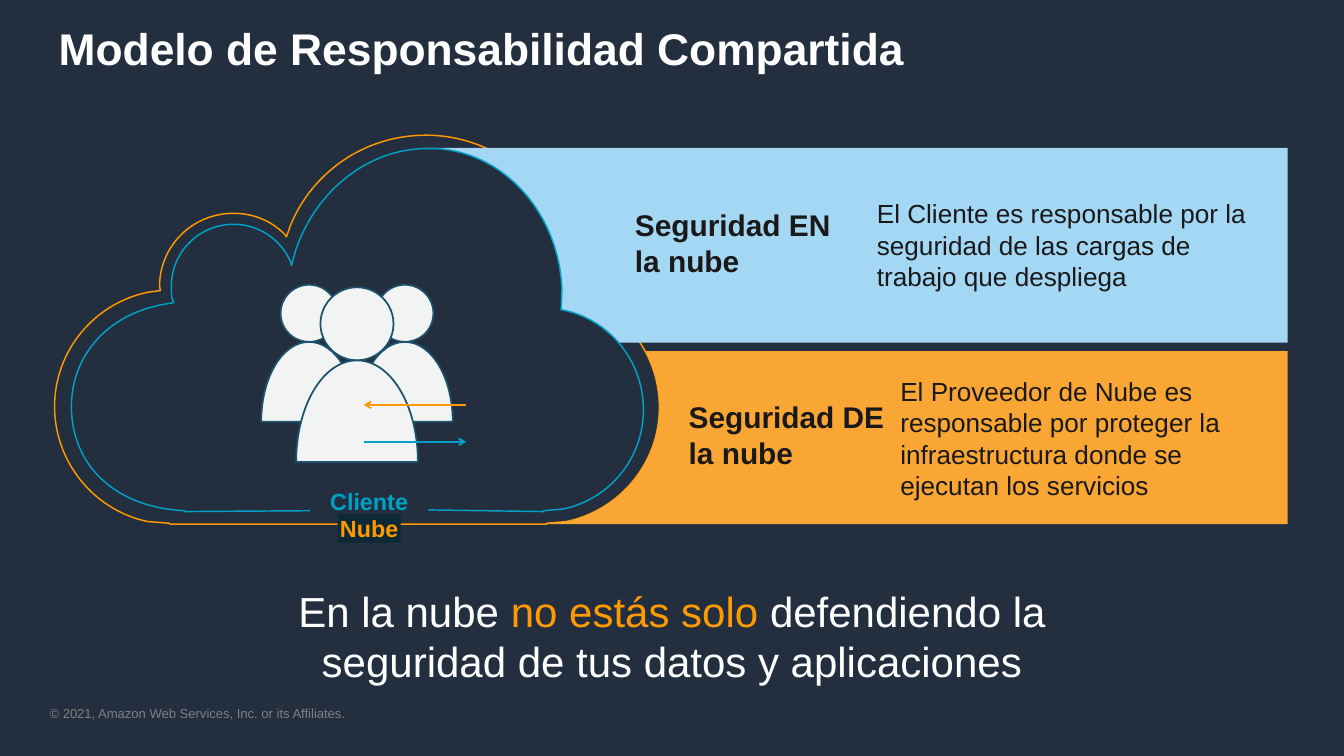
from dataclasses import dataclass
from lxml import etree
from pptx import Presentation
from pptx import util as u
from pptx.dml.color import RGBColor
from pptx.enum import shapes, text
from pptx.oxml.ns import qn


@dataclass(frozen=True)
class Theme:
    font: str = "Arial"
    back: str = "232F3E"
    white: str = "FFFFFF"
    ink: str = "191919"
    grey: str = "808080"
    orange: str = "FF9900"
    accent: str = "FF9A00"
    blue: str = "00A1C9"
    amber: str = "FAA634"
    sky: str = "A4D7F4"
    badge: str = "0D2836"
    pale: str = "F2F4F4"
    edge: str = "1D516C"
    title: float = 38
    lead: float = 36
    head: float = 25.6
    body: float = 22.4
    label: float = 20
    foot: float = 11.2


TOP, MID = text.MSO_ANCHOR.TOP, text.MSO_ANCHOR.MIDDLE
LEFT, CENTER = text.PP_ALIGN.LEFT, text.PP_ALIGN.CENTER
PAD = (0.1, 0.05)

# Outlines: a pair is a point, six numbers are a Bezier curve.
PROVIDER = [
    (5.07, 1.61), (6.04, 1.61, 6.82, 2.4, 6.82, 3.36), (6.81, 3.51), (7, 3.56),
    (7.5, 3.78, 7.85, 4.27, 7.85, 4.85), (7.85, 5.52, 7.37, 6.08, 6.74, 6.21),
    (6.51, 6.23), (6.51, 6.24), (6.46, 6.24), (2.02, 6.24), (2.02, 6.23),
    (1.76, 6.21), (1.13, 6.08, 0.65, 5.51, 0.65, 4.84),
    (0.65, 4.17, 1.13, 3.61, 1.76, 3.48), (1.91, 3.46), (1.9, 3.41),
    (1.9, 2.93, 2.29, 2.54, 2.78, 2.54), (3.02, 2.54, 3.23, 2.63, 3.39, 2.79),
    (3.41, 2.82), (3.46, 2.68), (3.72, 2.05, 4.34, 1.61, 5.07, 1.61)]
CLIENT = [
    (3.69, 6.08), (2.2, 6.09), (2.2, 6.08), (2.19, 6.08),
    (1.3, 6.03, 0.85, 5.48, 0.85, 4.84),
    (0.85, 4.23, 1.29, 3.71, 2.03, 3.61), (2.07, 3.6), (2.05, 3.56),
    (2.04, 3.51, 2.04, 3.46, 2.04, 3.41), (2.04, 3, 2.37, 2.67, 2.78, 2.67),
    (3.09, 2.67, 3.35, 2.86, 3.46, 3.12), (3.47, 3.16), (3.52, 2.98),
    (3.77, 2.24, 4.43, 1.74, 5.14, 1.77), (5.2, 1.77, 5.26, 1.77, 5.31, 1.78),
    (6.09, 1.89, 6.66, 2.61, 6.69, 3.45), (6.68, 3.69), (6.7, 3.69),
    (7.25, 3.8, 7.66, 4.29, 7.66, 4.88), (7.66, 5.46, 7.25, 5.95, 6.7, 6.06),
    (6.47, 6.08), (6.47, 6.09), (5.1, 6.07)]
LOWER = [
    (7.68, 4.18), (15.33, 4.18), (15.33, 6.24), (6.51, 6.24), (6.51, 6.23),
    (6.74, 6.21), (7.37, 6.08, 7.85, 5.52, 7.85, 4.85),
    (7.85, 4.63, 7.8, 4.43, 7.71, 4.24)]
UPPER = [
    (5.05, 1.76), (15.33, 1.76), (15.33, 4.08), (7.36, 4.08), (7.25, 3.96),
    (7.09, 3.83, 6.91, 3.73, 6.7, 3.69), (6.68, 3.69), (6.69, 3.45),
    (6.66, 2.61, 6.1, 1.89, 5.31, 1.78), (5.26, 1.77, 5.2, 1.77, 5.15, 1.77),
    (5.05, 1.77)]


def bend(shape, outline):
    """Join the three line segments of each curve into one Bezier segment."""
    lines = iter(list(shape._element.iter(qn("a:lnTo"))))
    for seg in outline[1:]:
        first = next(lines)
        if len(seg) == 6:
            first.tag = qn("a:cubicBezTo")
            for _ in range(2):
                line = next(lines)
                first.append(line[0])
                line.getparent().remove(line)


class Deck:
    def __init__(self, theme):
        self.look = theme
        self.prs = Presentation()
        self.prs.slide_width, self.prs.slide_height = u.Inches(16), u.Inches(9)
        self.slide = self.prs.slides.add_slide(self.prs.slide_layouts[6])
        self.items = self.slide.shapes
        self.paint(self.slide.background.fill, theme.back)

    def paint(self, fill, color):
        if color:
            fill.solid()
            fill.fore_color.rgb = RGBColor.from_string(color)
        else:
            fill.background()

    def dress(self, shape, fill=None, line=None, width=1.25):
        shape.shadow.inherit = False
        self.paint(shape.fill, fill)
        self.paint(shape.line.fill, line)
        if line:
            shape.line.width = u.Pt(width)

    def free(self, outline, fill=None, line=None, width=1.25, close=True):
        pts = [(u.Inches(seg[i]), u.Inches(seg[i + 1]))
               for seg in outline for i in range(0, len(seg), 2)]
        pen = self.items.build_freeform(*pts[0])
        pen.add_line_segments(pts[1:], close=close)
        shape = pen.convert_to_shape()
        bend(shape, outline)
        self.dress(shape, fill, line, width)

    def shape(self, kind, box, **style):
        shape = self.items.add_shape(kind, *map(u.Inches, box))
        self.dress(shape, **style)
        return shape

    def text(self, box, runs, size, bold=False, align=LEFT, anchor=TOP,
             pad=PAD, wrap=True, shape=None):
        """Write (words, colour) runs in a new text box or in a given shape."""
        shape = shape or self.items.add_textbox(*map(u.Inches, box))
        frame = shape.text_frame
        frame.word_wrap, frame.vertical_anchor = wrap, anchor
        frame.margin_left = frame.margin_right = u.Inches(pad[0])
        frame.margin_top = frame.margin_bottom = u.Inches(pad[1])
        par = frame.paragraphs[0]
        par.alignment = align
        par.font.name, par.font.size, par.font.bold = self.look.font, u.Pt(size), bold
        for words, color in runs:
            run = par.add_run()
            run.text = words
            run.font.color.rgb = RGBColor.from_string(color)

    def person(self, mid, top, head, wide, high):
        style = dict(fill=self.look.pale, line=self.look.edge, width=1.5)
        self.shape(shapes.MSO_SHAPE.OVAL, (mid - head / 2, top, head, head), **style)
        neck, left, right = top + head, mid - wide / 2, mid + wide / 2
        arm, side = neck + 0.45 * high, 0.22 * wide
        self.free([(left, neck + high),
                   (left, arm, left + side, neck, mid, neck),
                   (right - side, neck, right, arm, right, neck + high)], **style)

    def arrow(self, start, end, y, color):
        line = self.items.add_connector(
            shapes.MSO_CONNECTOR.STRAIGHT, *map(u.Inches, (start, y, end, y)))
        self.paint(line.line.fill, color)
        line.line.width = u.Pt(1.5)
        etree.SubElement(line.line._get_or_add_ln(), qn("a:tailEnd"), type="arrow")
        etree.SubElement(line._element.spPr, qn("a:effectLst"))


def main():
    look = Theme()
    deck = Deck(look)
    deck.text((0.59, 8.4, 7.78, 0.19),
              [("© 2021, Amazon Web Services, Inc. or its Affiliates.", look.grey)],
              look.foot, pad=(0, 0))
    deck.text((0.6, 0.2, 14.78, 0.99),
              [("Modelo de Responsabilidad Compartida", look.white)],
              look.title, bold=True)

    deck.free(PROVIDER, line=look.orange)
    deck.free(LOWER, fill=look.amber)
    deck.free(UPPER, fill=look.sky)
    badge = deck.shape(shapes.MSO_SHAPE.RECTANGLE, (4.02, 6.12, 0.75, 0.34),
                       fill=look.badge)
    deck.text(None, [("Nube", look.orange)], look.label, bold=True,
              align=CENTER, anchor=MID, pad=(0, 0), shape=badge)

    bands = [
        ((8.1, 4.7, 2.71, 0.96), "Seguridad DE la nube", (10.62, 4.41, 4.67, 1.61),
         "El Proveedor de Nube es responsable por proteger la infraestructura "
         "donde se ejecutan los servicios"),
        ((7.46, 2.41, 2.71, 0.96), "Seguridad EN la nube", (10.34, 2.3, 4.61, 1.23),
         "El Cliente es responsable por la seguridad de las cargas de trabajo "
         "que despliega")]
    for spot, head, area, body in bands:
        deck.text(spot, [(head, look.ink)], look.head, bold=True)
        deck.text(area, [(body, look.ink)], look.body, anchor=MID)

    deck.free(CLIENT, fill=look.back, line=look.blue, close=False)
    deck.text((3.93, 5.8, 0.93, 0.34), [("Cliente", look.blue)], look.label,
              bold=True, align=CENTER, anchor=MID, pad=(0, 0), wrap=False)
    for mid in (3.68, 4.82):
        deck.person(mid, 3.39, 0.68, 1.14, 0.95)
    deck.person(4.25, 3.42, 0.87, 1.45, 1.21)
    deck.arrow(4.33, 5.55, 5.26, look.blue)
    deck.arrow(5.55, 4.33, 4.82, look.orange)

    deck.text((3.35, 6.92, 9.3, 1.31),
              [("En la nube ", look.white), ("no estás solo ", look.accent),
               ("defendiendo la seguridad de tus datos y aplicaciones", look.white)],
              look.lead, align=CENTER)
    deck.prs.save("out.pptx")


if __name__ == "__main__":
    main()
